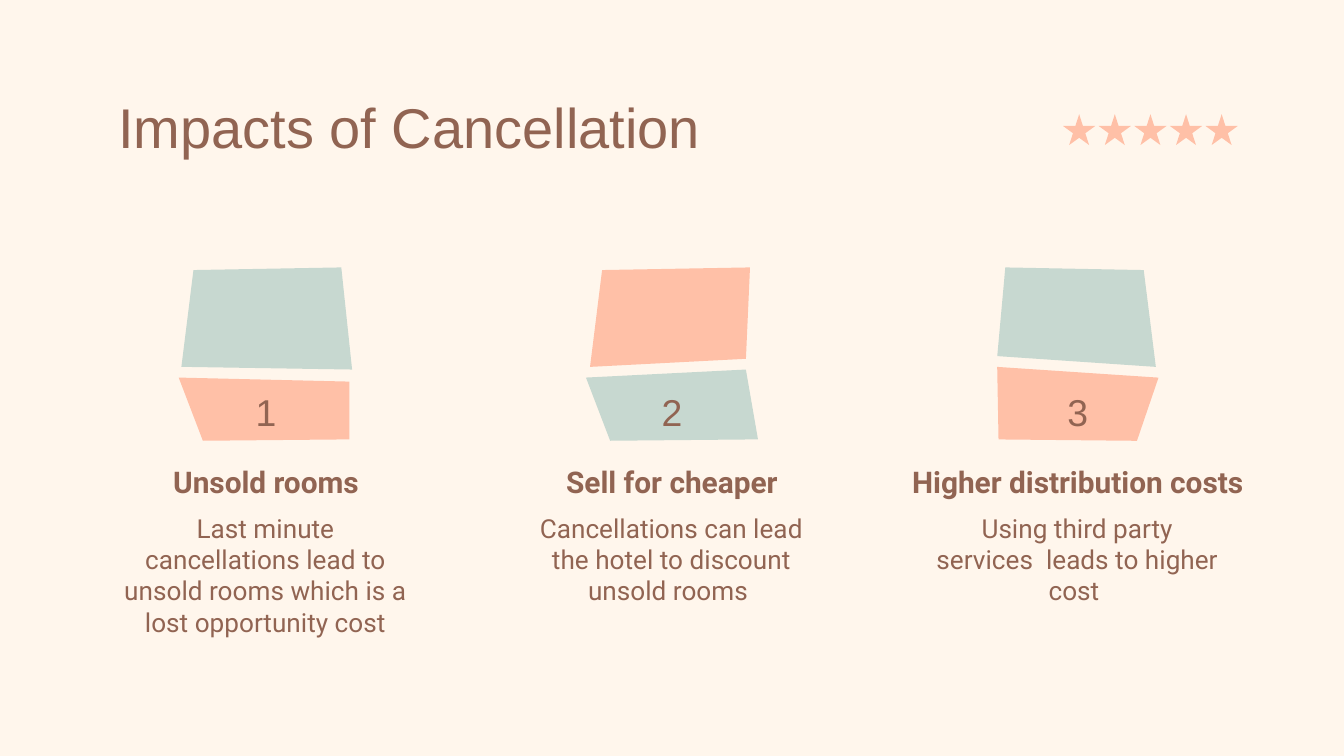
from dataclasses import dataclass

from lxml.etree import SubElement
from pptx import Presentation
from pptx.dml.color import RGBColor
from pptx.enum.shapes import MSO_SHAPE
from pptx.enum.text import MSO_ANCHOR, MSO_AUTO_SIZE, PP_ALIGN
from pptx.oxml.ns import qn
from pptx.util import Inches, Pt

CREAM = RGBColor(0xFF, 0xF6, 0xEC)
BROWN = RGBColor(0x91, 0x64, 0x52)
PEACH = RGBColor(0xFF, 0xC0, 0xA7)
SAGE = RGBColor(0xC7, 0xD8, 0xD0)

SLIDE_W = Inches(10)
SLIDE_H = SLIDE_W * 9 // 16
FIRST_CENTRE, PITCH = 1.98, 3.02  # inches
UNIT = Inches(0.01)  # freeform points are in hundredths of an inch
STARS, STAR_LEFT, STAR_RIGHT = 5, 7.91, 8.97


@dataclass
class Impact:
    """Points are measured across from the column centre, down from the top."""
    heading: str
    text: str
    upper: list[tuple[int, int]]
    lower: list[tuple[int, int]]
    upper_fill: RGBColor
    lower_fill: RGBColor


IMPACTS = [
    Impact("Unsold rooms",
           "Last minute cancellations lead to unsold rooms which is a lost opportunity cost",
           [(-63, 273), (64, 275), (56, 199), (-54, 201)],
           [(62, 284), (-65, 281), (-47, 328), (62, 327)], SAGE, PEACH),
    Impact("Sell for cheaper",
           "Cancellations can lead the hotel to discount unsold rooms ",
           [(-61, 273), (55, 267), (58, 199), (-52, 201)],
           [(55, 275), (-64, 281), (-46, 328), (64, 327)], PEACH, SAGE),
    Impact("Higher distribution costs",
           "Using third party services  leads to higher cost ",
           [(58, 273), (-60, 265), (-54, 199), (49, 201)],
           [(-60, 273), (60, 281), (44, 328), (-59, 327)], SAGE, PEACH),
]


def place(shape, left: float, top: float, width: float, height: float) -> None:
    shape.left, shape.top = Inches(left), Inches(top)
    shape.width, shape.height = Inches(width), Inches(height)


def paint(shape, color: RGBColor) -> None:
    shape.shadow.inherit = False
    shape.fill.solid()
    shape.fill.fore_color.rgb = color
    shape.line.fill.background()


def write(shape, text: str, *, size: int, font: str = "Arial", bold: bool = False,
          align: PP_ALIGN = PP_ALIGN.CENTER, anchor: MSO_ANCHOR = MSO_ANCHOR.TOP) -> None:
    tf = shape.text_frame
    tf.word_wrap = True
    tf.auto_size = MSO_AUTO_SIZE.NONE
    tf.vertical_anchor = anchor
    tf.margin_left = tf.margin_right = tf.margin_top = tf.margin_bottom = Inches(0.1)
    p = tf.paragraphs[0]
    p.alignment = align
    p.space_before = Pt(0)
    pPr = p._p.get_or_add_pPr()
    pPr.set("marL", "0")
    pPr.set("indent", "0")
    SubElement(pPr, qn("a:buNone"))
    r = p.add_run()
    r.text = text
    r.font.name, r.font.size, r.font.bold = font, Pt(size), bold
    r.font.color.rgb = BROWN


def add_label(s, text: str, centre: float, top: float, width: float, **style) -> None:
    tb = s.shapes.add_textbox(0, 0, 0, 0)
    place(tb, centre - width / 2, top, width, 0.31)
    write(tb, text, anchor=MSO_ANCHOR.MIDDLE, **style)


def add_panel(s, points: list[tuple[int, int]], centre: float, color: RGBColor) -> None:
    offset = round(centre * 100)
    (x, y), *rest = [(offset + px, py) for px, py in points]
    builder = s.shapes.build_freeform(x, y, scale=UNIT)
    builder.add_line_segments(rest, close=True)
    paint(builder.convert_to_shape(), color)


def add_stars(s) -> None:
    step = (STAR_RIGHT - STAR_LEFT) / (STARS - 1)
    for i in range(STARS):
        star = s.shapes.add_shape(MSO_SHAPE.STAR_5_POINT, 0, 0, 0, 0)
        place(star, STAR_LEFT + i * step, 0.85, 0.24, 0.23)
        paint(star, PEACH)


def add_impact(s, number: int, impact: Impact, body) -> None:
    centre = FIRST_CENTRE + (number - 1) * PITCH
    add_panel(s, impact.lower, centre, impact.lower_fill)
    add_panel(s, impact.upper, centre, impact.upper_fill)
    add_label(s, str(number), centre, 2.91, 0.87, size=20)
    add_label(s, impact.heading, centre, 3.43, 3.1, size=16, font="Roboto", bold=True)
    place(body, centre - 1.2, 3.71, 2.39, 1.05)
    write(body, impact.text, size=14, font="Roboto")


def main() -> None:
    prs = Presentation()
    prs.slide_width, prs.slide_height = SLIDE_W, SLIDE_H
    s = prs.slides.add_slide(prs.slide_layouts.get_by_name("Comparison"))
    s.background.fill.solid()
    s.background.fill.fore_color.rgb = CREAM

    title, *bodies, spare = s.placeholders
    spare._element.getparent().remove(spare._element)
    place(title, 0.78, 0.59, 8.44, 0.63)
    write(title, "Impacts of Cancellation", size=30, align=PP_ALIGN.LEFT)
    add_stars(s)
    for number, (impact, body) in enumerate(zip(IMPACTS, bodies), start=1):
        add_impact(s, number, impact, body)
    prs.save("out.pptx")


if __name__ == "__main__":
    main()
